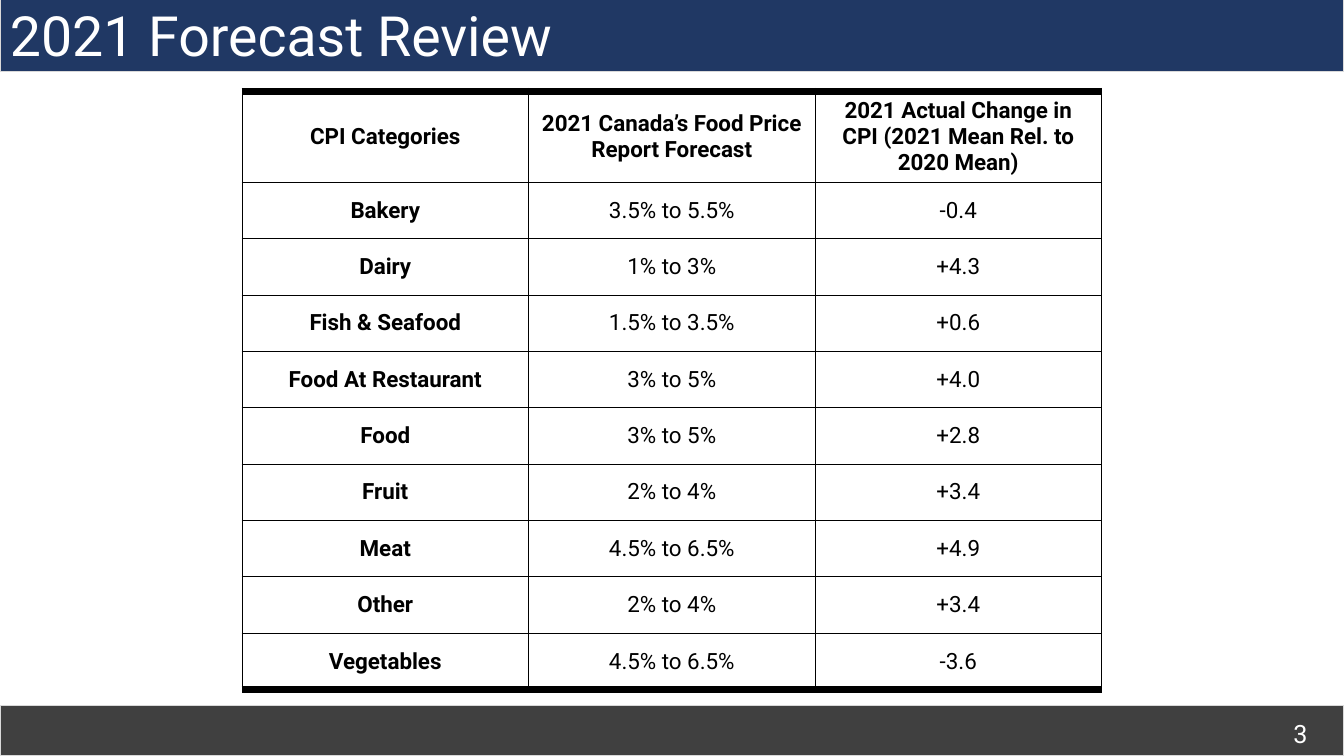
import pptx
import pptx.dml.color
import pptx.enum.shapes
import pptx.enum.text
import pptx.oxml
import pptx.oxml.ns
import pptx.util

Cm = pptx.util.Cm
Pt = pptx.util.Pt
RGB = pptx.dml.color.RGBColor
ALIGN = pptx.enum.text.PP_ALIGN
MIDDLE = pptx.enum.text.MSO_ANCHOR.MIDDLE

NAVY = RGB(0x20, 0x38, 0x64)
GREY = RGB(0x40, 0x40, 0x40)
PALE = RGB(0xD9, 0xD9, 0xD9)
WHITE = RGB(0xFF, 0xFF, 0xFF)
BLACK = RGB(0, 0, 0)

WIDTH, HEIGHT = 33.87, 19.05
THIN, THICK = 0.75, 6

ROWS = [
    ("CPI Categories", "2021 Canada’s Food Price Report Forecast",
     "2021 Actual Change in CPI (2021 Mean Rel. to 2020 Mean)"),
    ("Bakery", "3.5% to 5.5%", "-0.4"),
    ("Dairy", "1% to 3%", "+4.3"),
    ("Fish & Seafood", "1.5% to 3.5%", "+0.6"),
    ("Food At Restaurant", "3% to 5%", "+4.0"),
    ("Food", "3% to 5%", "+2.8"),
    ("Fruit", "2% to 4%", "+3.4"),
    ("Meat", "4.5% to 6.5%", "+4.9"),
    ("Other", "2% to 4%", "+3.4"),
    ("Vegetables", "4.5% to 6.5%", "-3.6"),
]


class Deck:
    font = "Roboto"

    def __init__(self):
        self.show = pptx.Presentation()
        self.show.slide_width = Cm(WIDTH)
        self.show.slide_height = Cm(HEIGHT)
        self.slide = self.show.slides.add_slide(self.show.slide_layouts[6])

    def style(self, frame, size, color, align, bold=False):
        for para in frame.paragraphs:
            para.alignment = align
            for run in para.runs:
                run.font.name = self.font
                run.font.size = Pt(size)
                run.font.bold = bold
                run.font.color.rgb = color

    def bar(self, top, height, color):
        """Draw a band across the whole slide."""
        band = self.slide.shapes.add_shape(
            pptx.enum.shapes.MSO_SHAPE.RECTANGLE,
            0, Cm(top), Cm(WIDTH), Cm(height))
        band.shadow.inherit = False
        band.fill.solid()
        band.fill.fore_color.rgb = color
        band.line.color.rgb = PALE
        band.line.width = Pt(1)

    def text(self, words, left, top, width, height, size, align):
        box = self.slide.shapes.add_textbox(
            Cm(left), Cm(top), Cm(width), Cm(height))
        frame = box.text_frame
        frame.word_wrap = True
        frame.vertical_anchor = MIDDLE
        frame.text = words
        self.style(frame, size, WHITE, align)

    def edge(self, cell, side, width):
        """Rule one side (L, R, T or B) of a cell in black."""
        line = pptx.oxml.parse_xml(
            f'<a:ln{side} {pptx.oxml.ns.nsdecls("a")} w="{Pt(width)}">'
            f'<a:solidFill><a:srgbClr val="{BLACK}"/></a:solidFill>'
            f'</a:ln{side}>')
        cell._tc.get_or_add_tcPr().append(line)

    def table(self, rows, left, top, width, head, height):
        """Draw rows as a table: head and height are the row heights."""
        last = len(rows) - 1
        count = len(rows[0])
        grid = self.slide.shapes.add_table(
            len(rows), count, Cm(left), Cm(top),
            Cm(width * count), Cm(head + height * last)).table
        grid.first_row = False
        grid.horz_banding = False
        for col in grid.columns:
            col.width = Cm(width)
        for r, row in enumerate(rows):
            grid.rows[r].height = Cm(height if r else head)
            for c, words in enumerate(row):
                cell = grid.cell(r, c)
                cell.text_frame.text = words
                cell.vertical_anchor = MIDDLE
                self.style(cell.text_frame, 16, BLACK, ALIGN.CENTER,
                           r == 0 or c == 0)
                self.edge(cell, "L", THIN)
                self.edge(cell, "R", THIN)
                self.edge(cell, "T", THIN if r else THICK)
                self.edge(cell, "B", THICK if r == last else THIN)
                cell.fill.solid()
                cell.fill.fore_color.rgb = WHITE


def main():
    deck = Deck()
    deck.bar(-0.05, 1.85, NAVY)
    deck.bar(17.78, 1.27, GREY)
    deck.text("3", 25.58, 17.96, 7.62, 1.02, 18, ALIGN.RIGHT)
    deck.text("2021 Forecast Review", 0, 0, WIDTH, 1.73, 39.6, ALIGN.LEFT)
    deck.table(ROWS, 6.1, 2.31, 7.22, 2.22, 1.42)
    deck.show.save("out.pptx")


if __name__ == "__main__":
    main()
